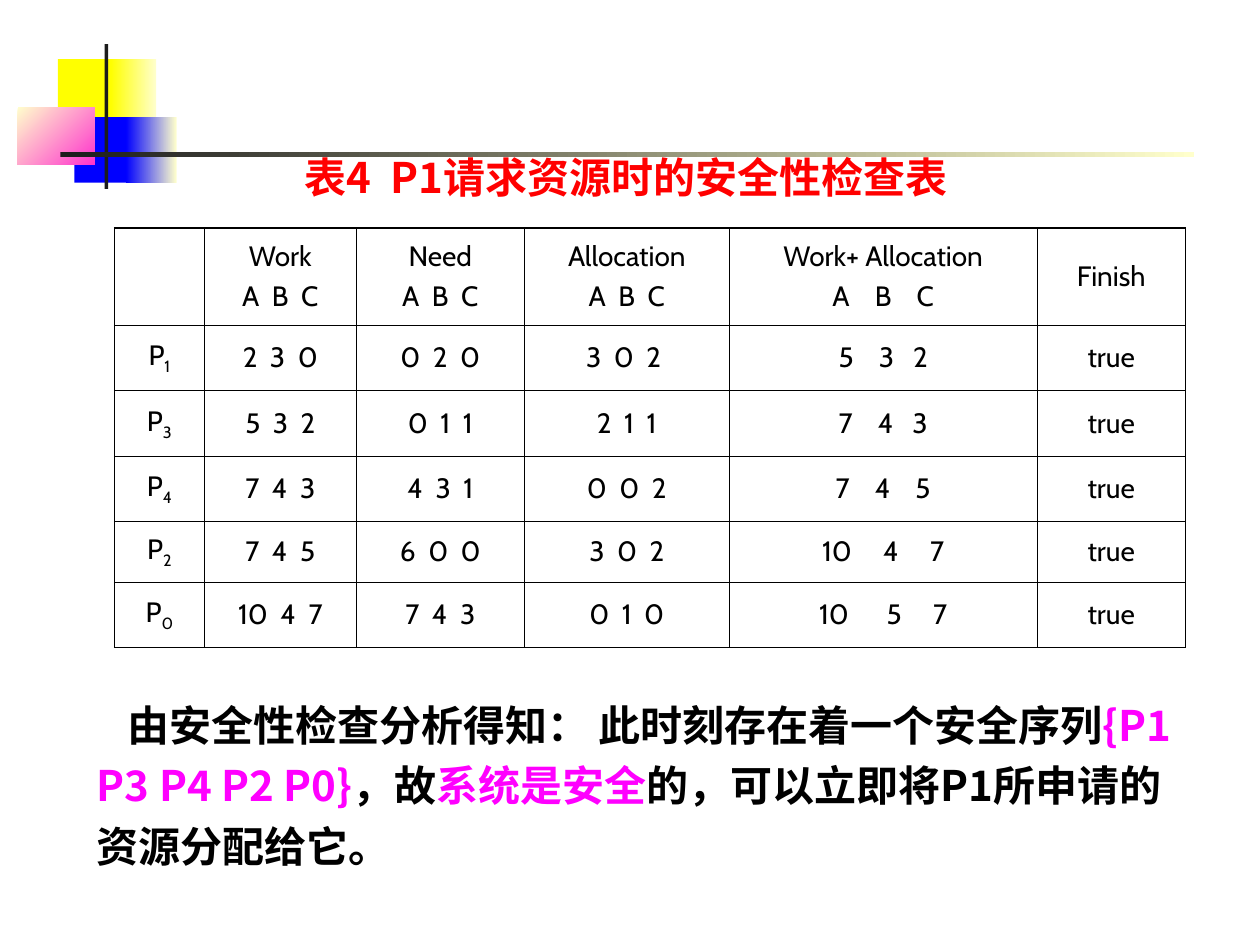
from pptx import Presentation
from pptx.dml.color import RGBColor
from pptx.enum.shapes import MSO_SHAPE
from pptx.enum.text import MSO_ANCHOR as Anchor, MSO_AUTO_SIZE as Fit, PP_ALIGN as Align
from pptx.oxml.ns import qn
from pptx.util import Inches, Pt
from lxml.etree import SubElement

CABIN, NOTO = "Cabin", "Noto Sans CJK SC"
BLACK, RED, PINK = "000000", "FF0000", "FF00FF"
CREAM, YELLOW, BLUE, DARK = "FFFFCC", "FFFF00", "0000FF", "1C1C1C"

# left, top, width, height, colours, gradient angle (clockwise)
DECOR = [
    (0.46, 0.47, 0.48, 0.52, [YELLOW], 0),
    (0.88, 0.47, 0.36, 0.52, [YELLOW, CREAM], 0),
    (0.59, 0.93, 0.46, 0.52, [BLUE], 0),
    (1.00, 0.93, 0.40, 0.52, [BLUE, CREAM], 0),
    (0.14, 0.85, 0.61, 0.46, [CREAM, "FF33CC"], 45),
    (0.83, 0.35, 0.03, 1.15, [DARK], 0),
    (0.48, 1.21, 9.00, 0.04, [DARK, CREAM], 0),
]

CAPTION = [("表4  P1请求资源时的安全性检查表", RED)]
RESULT = [
    ("由安全性检查分析得知： 此时刻存在着一个安全序列", BLACK),
    ("{P1 P3 P4 P2 P0}", PINK),
    ("，故", BLACK),
    ("系统是安全", PINK),
    ("的，可以立即将P1所申请的资源分配给它。", BLACK),
]

COLS = [0.71, 1.21, 1.33, 1.63, 2.44, 1.18]
HEIGHTS = [0.77, 0.52, 0.52, 0.52, 0.48, 0.52]
HEAD = ["", "Work\nA  B  C", "Need\nA  B  C", "Allocation\nA  B  C",
        "Work+ Allocation\nA    B    C", "Finish"]
STEPS = [  # process number, then Work, Need, Allocation, Work + Allocation
    ("1", "2  3  0", "0  2  0", "3  0  2 ", "5    3   2"),
    ("3", "5  3  2", "0  1  1", "2  1  1", "7    4   3"),
    ("4", "7  4  3", "4  3  1", "0  0  2", "7    4    5"),
    ("2", "7  4  5", "6  0  0", "3  0  2", "10     4     7"),
    ("0", "10  4  7", "7  4  3", "0  1  0", "10      5     7"),
]
THIN, THICK = 0.45, 1.08


def rgb(code):
    return RGBColor.from_string(code)


def place(shape, left, top, width, height):
    shape.left, shape.top = Inches(left), Inches(top)
    shape.width, shape.height = Inches(width), Inches(height)


def add_run(para, text, size, font, color, bold=False):
    run = para.add_run()
    run.text = text
    run.font.size, run.font.name, run.font.bold = Pt(size), font, bold
    run.font.color.rgb = rgb(color)
    SubElement(run.font._element, qn("a:ea"), typeface=font)
    return run


def add_block(shape, runs):
    """Fill a text shape with one bold, left-aligned paragraph."""
    frame = shape.text_frame
    frame.word_wrap, frame.auto_size = True, Fit.SHAPE_TO_FIT_TEXT
    frame.vertical_anchor = Anchor.TOP
    para = frame.paragraphs[0]
    para.alignment = Align.LEFT
    for text, color in runs:
        add_run(para, text, 24, NOTO, color, True)
    return para


def add_decor(shapes, left, top, width, height, colors, angle):
    box = shapes.add_shape(MSO_SHAPE.RECTANGLE, *map(Inches, (left, top, width, height)))
    box.shadow.inherit = False
    box.line.fill.background()
    if len(colors) == 1:
        box.fill.solid()
        box.fill.fore_color.rgb = rgb(colors[0])
        return
    box.fill.gradient()
    box.fill.gradient_angle = -angle % 360
    for stop, color in zip(box.fill.gradient_stops, colors):
        stop.color.rgb = rgb(color)


def add_borders(cell, sides):
    """Draw cell borders; sides maps L, R, T, B to a width in points."""
    props = cell._tc.get_or_add_tcPr()
    for side, width in sides.items():
        line = SubElement(props, qn(f"a:ln{side}"), w=str(Pt(width)))
        fill = SubElement(line, qn("a:solidFill"))
        SubElement(fill, qn("a:srgbClr"), val=BLACK)


def fill_cell(cell, text, sub=""):
    frame = cell.text_frame
    for i, row in enumerate(text.split("\n")):
        para = frame.add_paragraph() if i else frame.paragraphs[0]
        para.alignment, para.space_before = Align.CENTER, Pt(4)
        if row:
            add_run(para, row, 16, CABIN, BLACK)
    if sub:
        run = add_run(para, sub, 16, CABIN, BLACK)
        run.font._element.set("baseline", "-25000")


def add_grid(shapes):
    rows, cols = len(HEIGHTS), len(COLS)
    grid = shapes.add_table(rows, cols, Inches(0.91), Inches(1.81),
                            Inches(sum(COLS)), Inches(sum(HEIGHTS))).table
    grid.first_row = grid.horz_banding = False
    for col, width in zip(grid.columns, COLS):
        col.width = Inches(width)
    for row, height in zip(grid.rows, HEIGHTS):
        row.height = Inches(height)
    body = [HEAD] + [("P", *step[1:], "true") for step in STEPS]
    for r, texts in enumerate(body):
        for c, text in enumerate(texts):
            cell = grid.cell(r, c)
            cell.vertical_anchor = Anchor.MIDDLE
            fill_cell(cell, text, STEPS[r - 1][0] if r and not c else "")
            edges = {"L": c == 0, "R": c == cols - 1, "T": r == 0, "B": r == rows - 1}
            add_borders(cell, {k: THICK if outer else THIN for k, outer in edges.items()})
            cell.fill.background()


def main():
    deck = Presentation()
    deck.slide_width, deck.slide_height = Inches(10), Inches(7.5)
    slide = deck.slides.add_slide(deck.slide_layouts[5])
    shapes = slide.shapes
    for item in DECOR:
        add_decor(shapes, *item)
    add_grid(shapes)

    title = shapes.title
    place(title, 2.32, 1.15, 6.28, 0.5)
    add_block(title, CAPTION)
    title.element.getparent().append(title.element)  # in front of the bars

    note = shapes.add_textbox(*map(Inches, (0.67, 5.42, 8.82, 1.54)))
    para = add_block(note, RESULT)
    para.line_spacing = 1.2
    para._p.get_or_add_pPr().set("indent", str(Inches(0.24)))
    deck.save("out.pptx")


if __name__ == "__main__":
    main()
